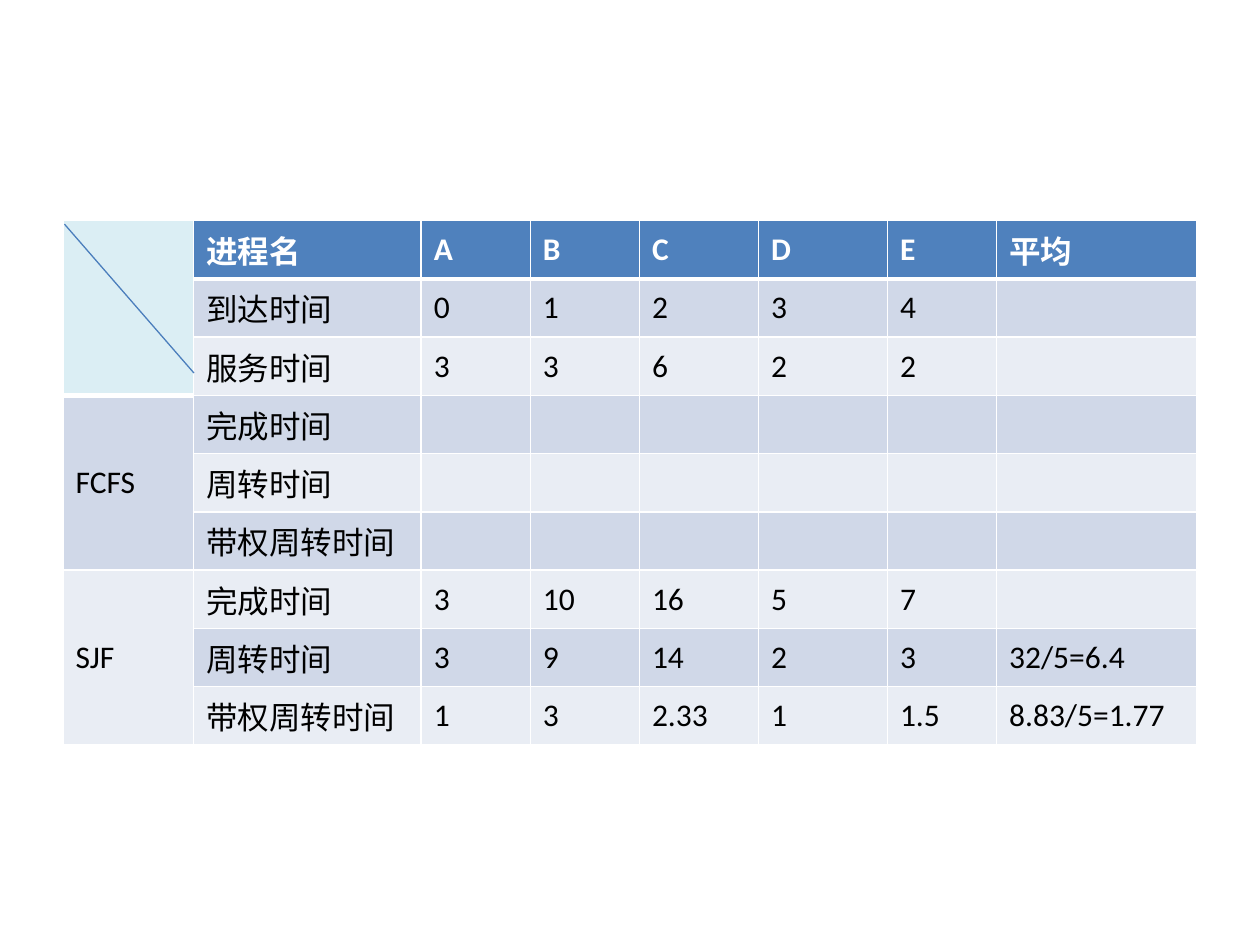
from lxml import etree
from pptx import Presentation
from pptx.dml.color import RGBColor
from pptx.enum.shapes import MSO_CONNECTOR
from pptx.enum.text import MSO_ANCHOR
from pptx.oxml.ns import qn
from pptx.util import Cm, Pt

STRAIGHT = MSO_CONNECTOR.STRAIGHT
MIDDLE = MSO_ANCHOR.MIDDLE

WHITE = RGBColor(0xFF, 0xFF, 0xFF)
BLACK = RGBColor(0x00, 0x00, 0x00)
HEADER_BLUE = RGBColor(0x4F, 0x81, 0xBD)
CORNER_BLUE = RGBColor(0xDB, 0xEE, 0xF4)
DARK_BAND = RGBColor(0xD0, 0xD8, 0xE8)
LIGHT_BAND = RGBColor(0xE9, 0xED, 0xF4)
LINE_BLUE = RGBColor(0x4B, 0x7E, 0xBC)

FONT = "Calibri"
THIN, THICK = Pt(1), Pt(3)
GROUP_SIZE = 3
ROW_HEIGHT = 1.03
COLUMN_WIDTHS = [2.63, 4.59, 2.2, 2.2, 2.4, 2.6, 2.2, 4.04]
ROWS = [
    ["", "进程名", "A", "B", "C", "D", "E", "平均"],
    ["", "到达时间", "0", "1", "2", "3", "4", ""],
    ["", "服务时间", "3", "3", "6", "2", "2", ""],
    ["FCFS", "完成时间", "", "", "", "", "", ""],
    ["", "周转时间", "", "", "", "", "", ""],
    ["", "带权周转时间", "", "", "", "", "", ""],
    ["SJF", "完成时间", "3", "10", "16", "5", "7", ""],
    ["", "周转时间", "3", "9", "14", "2", "3", "32/5=6.4"],
    ["", "带权周转时间", "1", "3", "2.33", "1", "1.5", "8.83/5=1.77"],
]


def set_borders(cell, top, bottom):
    """Draw white borders round a cell; call before filling it."""
    properties = cell._tc.get_or_add_tcPr()
    for side, width in (("L", THIN), ("R", THIN), ("T", top), ("B", bottom)):
        line = etree.SubElement(properties, qn(f"a:ln{side}"), w=str(width))
        fill = etree.SubElement(line, qn("a:solidFill"))
        etree.SubElement(fill, qn("a:srgbClr"), val=str(WHITE))


def cell_color(row, column):
    """Return the fill for a place in the table."""
    if row == 0:
        return HEADER_BLUE if column else CORNER_BLUE
    return DARK_BAND if row % 2 else LIGHT_BAND


def style_cell(cell, text, row, column):
    """Write and format one cell."""
    below_header = row == (1 if column else GROUP_SIZE)
    set_borders(cell, THICK if below_header else THIN, THIN if row else THICK)
    cell.fill.solid()
    cell.fill.fore_color.rgb = cell_color(row, column)
    cell.vertical_anchor = MIDDLE
    cell.text = text
    font = cell.text_frame.paragraphs[0].font
    font.name, font.size, font.bold = FONT, Pt(18), row == 0
    font.color.rgb = BLACK if row else WHITE


def add_schedule_table(page):
    """Add the scheduling table with its merged first column."""
    frame = page.shapes.add_table(
        len(ROWS), len(COLUMN_WIDTHS), Cm(1.27), Cm(4.45),
        Cm(sum(COLUMN_WIDTHS)), Cm(ROW_HEIGHT * len(ROWS)))
    table = frame.table
    for column, width in zip(table.columns, COLUMN_WIDTHS):
        column.width = Cm(width)
    for row_number, texts in enumerate(ROWS):
        table.rows[row_number].height = Cm(ROW_HEIGHT)
        for column_number, text in enumerate(texts):
            style_cell(table.cell(row_number, column_number), text,
                       row_number, column_number)
    for first in range(0, len(ROWS), GROUP_SIZE):
        table.cell(first, 0).merge(table.cell(first + GROUP_SIZE - 1, 0))


def add_diagonal(page):
    """Draw the diagonal across the corner cell."""
    line = page.shapes.add_connector(
        STRAIGHT, Cm(1.3), Cm(4.52), Cm(3.91), Cm(7.52))
    line.line.color.rgb = LINE_BLUE
    line.line.width = Pt(0.75)
    etree.SubElement(line._element.spPr, qn("a:effectLst"))


def main():
    """Build and save the slide."""
    deck = Presentation()
    deck.slide_width, deck.slide_height = Cm(25.4), Cm(19.05)
    page = deck.slides.add_slide(deck.slide_layouts[6])
    add_schedule_table(page)
    add_diagonal(page)
    deck.save("out.pptx")


main()
